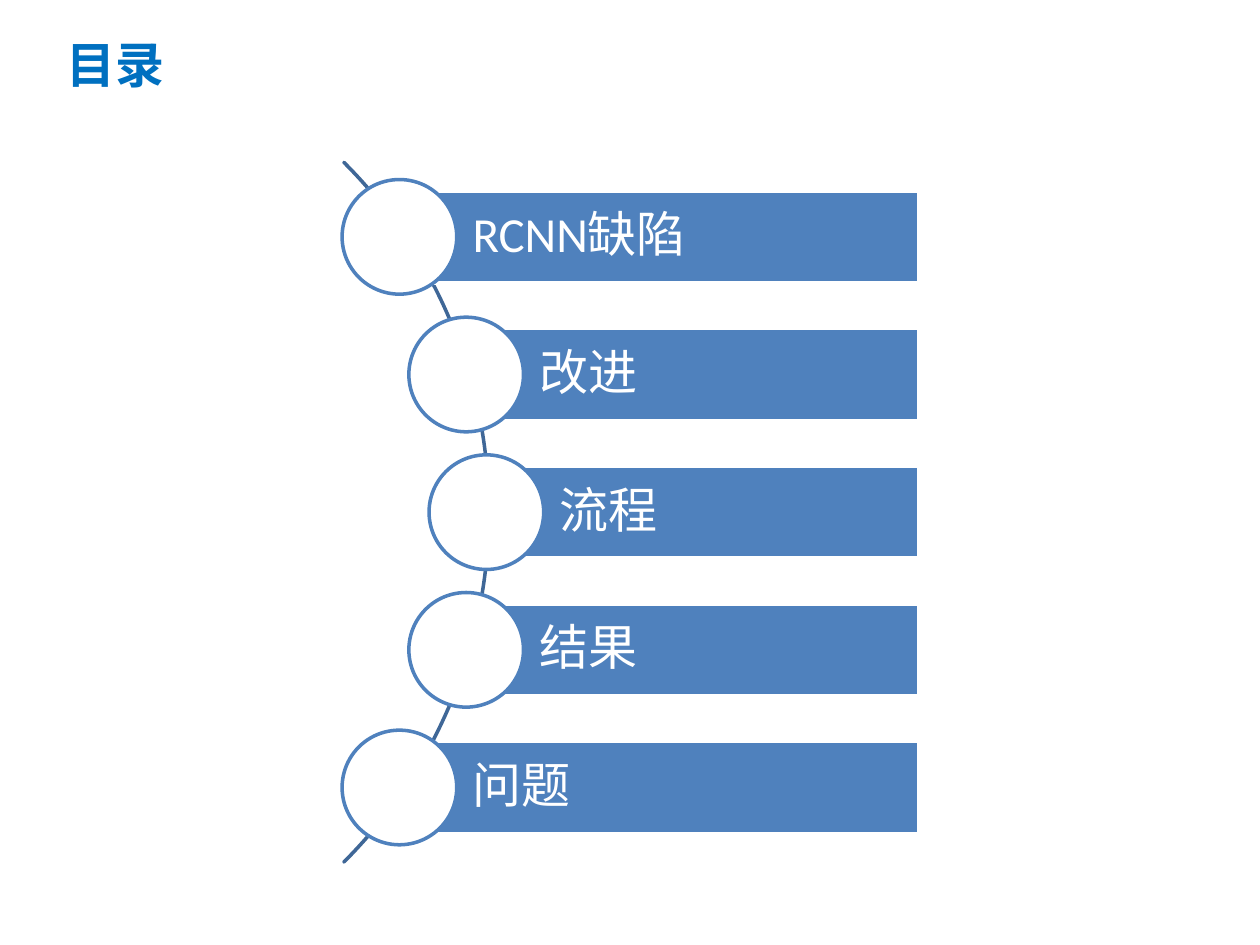
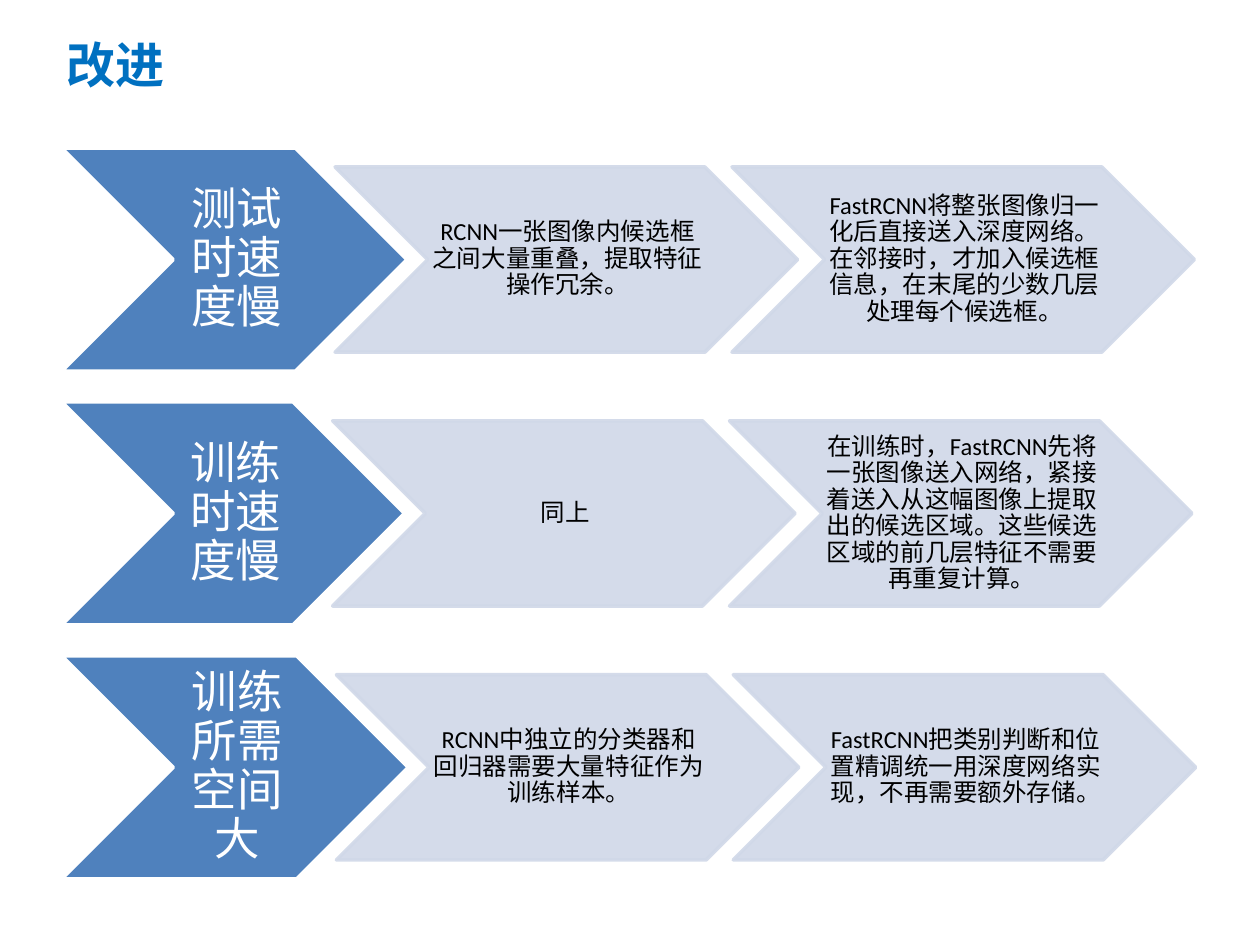
import pptx
import pptx.util
import pptx.dml.color
import pptx.enum.shapes
import pptx.enum.text
import pptx.oxml
import pptx.oxml.ns
import lxml.etree

Inches = pptx.util.Inches
Pt = pptx.util.Pt
SHAPE = pptx.enum.shapes.MSO_SHAPE
ALIGN = pptx.enum.text.PP_ALIGN
MIDDLE = pptx.enum.text.MSO_ANCHOR.MIDDLE
NO_FIT = pptx.enum.text.MSO_AUTO_SIZE.NONE

TITLE_BLUE, BLUE, ARC_BLUE, PALE = "0070C0", "4F81BD", "3F6797", "D0D8E8"
WHITE, BLACK = "FFFFFF", "000000"
LATIN, HAN = "Calibri", "Noto Sans CJK SC"


def colour(value):
    return pptx.dml.color.RGBColor.from_string(value)


def apply(target, values):
    for name, value in values.items():
        setattr(target, name, value)


class Painter:
    def __init__(self, deck):
        self.deck = deck
        self.page = None

    def add_page(self, heading):
        self.page = self.deck.slides.add_slide(self.deck.slide_layouts[5])
        title = self.page.shapes.title
        place = {"left": 0.43, "top": 0.17, "width": 8.89, "height": 0.67}
        apply(title, {name: Inches(value) for name, value in place.items()})
        self.label(title, heading, 28, TITLE_BLUE, font=HAN, bold=True, spacing=1)

    def label(self, box, text, size, ink, font=LATIN, bold=False,
              align=ALIGN.LEFT, margins=(0.1, 0.05, 0.1, 0.05), spacing=0.9):
        frame = box.text_frame
        apply(frame, {"word_wrap": True, "auto_size": NO_FIT, "vertical_anchor": MIDDLE})
        sides = ("margin_left", "margin_top", "margin_right", "margin_bottom")
        apply(frame, {side: Inches(gap) for side, gap in zip(sides, margins)})
        para = frame.paragraphs[0]
        apply(para, {"alignment": align, "line_spacing": spacing})
        span = para.add_run()
        span.text = text
        apply(span.font, {"name": font, "size": Pt(size), "bold": bold})
        span.font.color.rgb = colour(ink)
        east_asian = pptx.oxml.parse_xml(
            f'<a:ea {pptx.oxml.ns.nsdecls("a")} typeface="{HAN}"/>')
        span.font._element.find(pptx.oxml.ns.qn("a:latin")).addnext(east_asian)

    def shape(self, kind, left, top, width, height, fill, line, opacity=None):
        box = self.page.shapes.add_shape(
            kind, Inches(left), Inches(top), Inches(width), Inches(height))
        box.shadow.inherit = False
        if fill:
            box.fill.solid()
            box.fill.fore_color.rgb = colour(fill)
        else:
            box.fill.background()
        box.line.color.rgb = colour(line)
        box.line.width = Pt(2)
        if opacity:
            for paint in box._element.spPr.iter(pptx.oxml.ns.qn("a:srgbClr")):
                alpha = lxml.etree.SubElement(paint, pptx.oxml.ns.qn("a:alpha"))
                alpha.set("val", str(opacity * 1000))
        return box

    def arc(self, left, top, size):
        arc = self.shape(SHAPE.BLOCK_ARC, left, top, size, size, None, ARC_BLUE)
        for index, value in enumerate((189, 27, 0)):
            arc.adjustments[index] = value

    def agenda_item(self, left, middle, text):
        right, bar_height, circle = 7.29, 0.73, 0.91
        bar = self.shape(SHAPE.RECTANGLE, left, middle - bar_height / 2,
                         right - left, bar_height, BLUE, WHITE)
        self.label(bar, text, 28, WHITE, margins=(0.58, 0.08, 0.08, 0.08))
        self.shape(SHAPE.OVAL, left - circle / 2, middle - circle / 2,
                   circle, circle, WHITE, BLUE)

    def chevron_row(self, middle, lead_width, problem, details):
        left, lead_height, height, overlap = 0.49, 1.77, 1.47, 0.57
        lead = self.shape(SHAPE.CHEVRON, left, middle - lead_height / 2,
                          lead_width, lead_height, BLUE, WHITE)
        self.label(lead, problem, 26, WHITE, align=ALIGN.CENTER,
                   margins=(0.04, 0.02, 0, 0.02))
        for index, detail in enumerate(details):
            step = self.shape(SHAPE.CHEVRON, left + lead_width - overlap + index * 3.15,
                              middle - height / 2, 3.67, height, PALE, PALE, 90)
            self.label(step, detail, 14, BLACK, align=ALIGN.CENTER,
                       margins=(0.02, 0.01, 0, 0.01))


def build_agenda(painter):
    painter.add_page("目录")
    painter.arc(-3.97, 0.14, 7.85)
    topics = ("RCNN缺陷", "改进", "流程", "结果", "问题")
    lefts = (3.17, 3.7, 3.86, 3.7, 3.17)
    for index, (left, topic) in enumerate(zip(lefts, topics)):
        painter.agenda_item(left, 1.88 + index * 4.37 / 4, topic)


def build_improvements(painter):
    painter.add_page("改进")
    rows = (
        (2.74, "测试时速度慢", (
            "RCNN一张图像内候选框之间大量重叠，提取特征操作冗余。",
            "FastRCNN将整张图像归一化后直接送入深度网络。在邻接时，才加入候选框信息，"
            "在末尾的少数几层处理每个候选框。")),
        (2.72, "训练时速度慢", (
            "同上",
            "在训练时，FastRCNN先将一张图像送入网络，紧接着送入从这幅图像上提取出的候选区域。"
            "这些候选区域的前几层特征不需要再重复计算。")),
        (2.75, "训练所需空间大", (
            "RCNN中独立的分类器和回归器需要大量特征作为训练样本。",
            "FastRCNN把类别判断和位置精调统一用深度网络实现，不再需要额外存储。")),
    )
    for index, row in enumerate(rows):
        painter.chevron_row(2.06 + index * 4.03 / 2, *row)


def main():
    deck = pptx.Presentation()
    apply(deck, {"slide_width": Inches(10), "slide_height": Inches(7.5)})
    painter = Painter(deck)
    build_agenda(painter)
    build_improvements(painter)
    deck.save("out.pptx")


if __name__ == "__main__":
    main()
